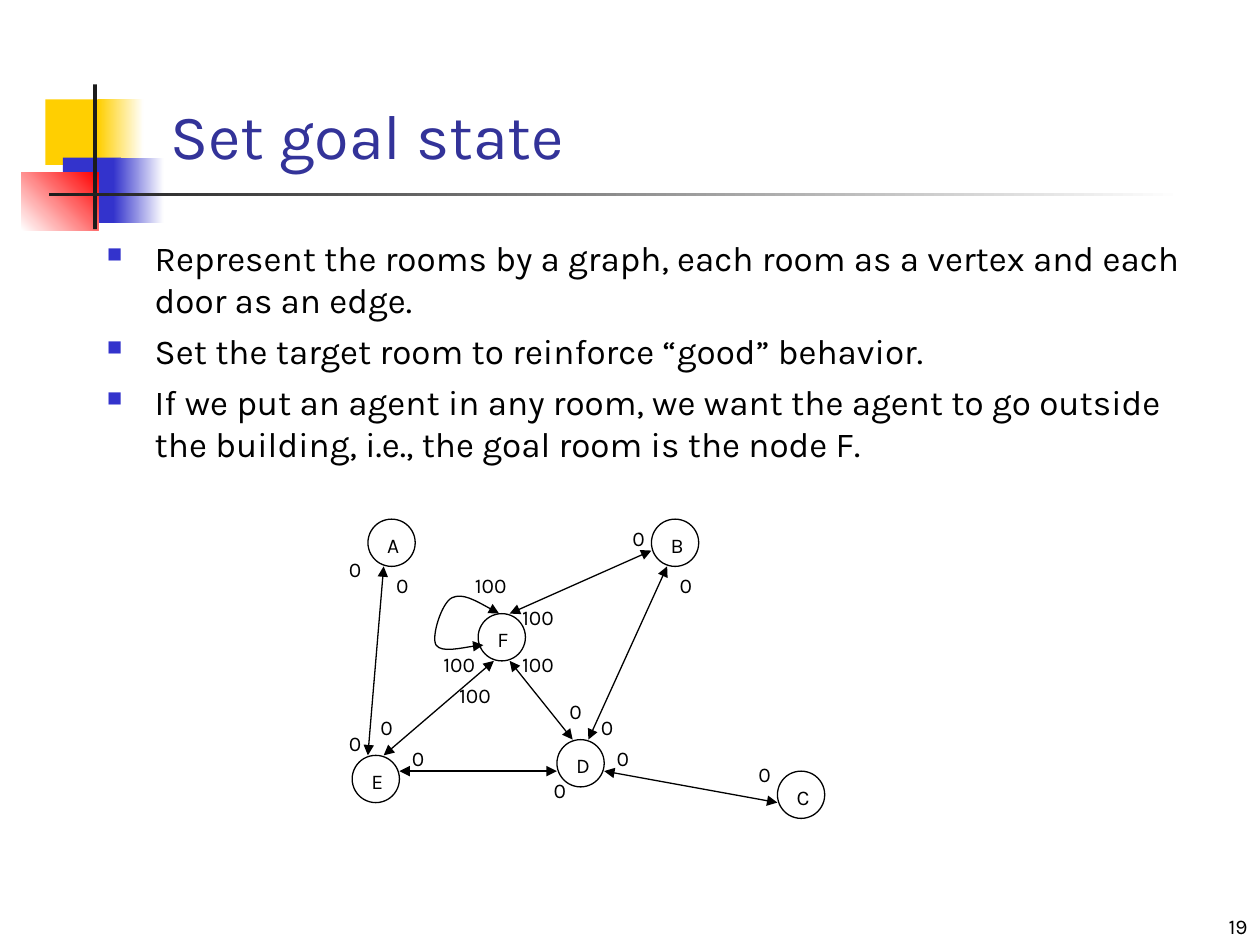
from dataclasses import dataclass
from typing import NamedTuple

from lxml import etree
from pptx import Presentation
from pptx.dml.color import RGBColor
from pptx.enum.shapes import MSO_CONNECTOR, MSO_SHAPE
from pptx.enum.text import MSO_ANCHOR, MSO_AUTO_SIZE, PP_ALIGN
from pptx.oxml.ns import qn
from pptx.util import Inches, Pt

RECT, OVAL = MSO_SHAPE.RECTANGLE, MSO_SHAPE.OVAL
LINE = MSO_CONNECTOR.STRAIGHT
TOP, BOTTOM = MSO_ANCHOR.TOP, MSO_ANCHOR.BOTTOM
LEFT, RIGHT = PP_ALIGN.LEFT, PP_ALIGN.RIGHT
WIDE, HIGH = Inches(10), Inches(7.5)


@dataclass(frozen=True)
class Theme:
    font: str = "Karla"
    ink: str = "000000"
    paper: str = "FFFFFF"
    head: str = "333399"
    blue: str = "3333CC"
    gold: str = "FFCF01"
    red: str = "FF0000"
    dark: str = "1C1C1C"
    title: int = 36
    body: int = 20
    small: int = 12
    stroke: float = 0.75


class Area(NamedTuple):
    """Left, top, width and height."""
    x: float
    y: float
    w: float
    h: float


class Block(NamedTuple):
    area: Area
    color: str
    end: str = ""
    angle: int = 0


class Label(NamedTuple):
    text: str
    spots: list
    cols: int
    rows: int


class Edge(NamedTuple):
    x1: float
    y1: float
    x2: float
    y2: float


T = Theme()

# Shares of the slide, in percent
TITLE = Area(12.5, 10, 85.2, 8.93)
BODY = Area(7.5, 24.4, 88.3, 70)
NUMBER = Area(79.2, 94.4, 20.8, 5.6)
BLOCKS = [
    Block(Area(3.6, 10.53, 4.8, 6.93), T.gold),
    Block(Area(7.8, 10.53, 3.6, 6.93), T.gold, T.paper),
    Block(Area(5, 16.67, 4.6, 6.93), T.blue),
    Block(Area(9, 16.67, 4, 6.93), T.blue, T.paper),
    Block(Area(1.7, 18.27, 6.1, 6.13), T.paper, T.red, 45),
    Block(Area(7.4, 8.93, 0.3, 15.33), T.dark),
    Block(Area(3.9, 20.4, 90, 0.4), T.dark, T.paper),
]

# Columns and rows of the graph's grid
UNIT, COL0, ROW0 = 0.125, 2.67, 4.12
NODE = 3
LABELS = [
    Label("0", [(3, 3), (0, 2), (0, 13), (2, 12), (4, 14), (13, 16), (14, 11),
                (16, 12), (17, 14), (26, 15), (21, 3), (18, 0)], 3, 3),
    Label("100", [(7, 10), (6, 8), (8, 3), (11, 5), (11, 8)], 4, 2),
]
NODES = {"A": (2, 0), "E": (1, 15), "B": (20, 0),
         "D": (14, 14), "F": (9, 6), "C": (28, 16)}
EDGES = [
    Edge(3, 3, 2, 15), Edge(3, 15, 10, 9), Edge(11, 9, 15, 14),
    Edge(11, 6, 20, 2), Edge(21, 3, 16, 14), Edge(4, 16, 14, 16),
    Edge(17, 16, 28, 18),
]
LOOP = [(10.33, 6), (9.12, 5.33), (8, 4.67), (7.33, 5), (6.67, 5.33),
        (6, 7.5), (6.33, 8), (6.67, 8.5), (8.83, 8), (9.33, 8)]

POINTS = [
    "Represent the rooms by a graph, each room as a vertex and each door as an edge.",
    "Set the target room to reinforce “good” behavior.",
    "If we put an agent in any room, we want the agent to go outside "
    "the building, i.e., the goal room is the node F.",
]


def share(area: Area) -> tuple:
    return tuple(int(part * side / 100)
                 for part, side in zip(area, (WIDE, HIGH, WIDE, HIGH)))


def spot(col: float, row: float) -> tuple:
    return Inches(COL0 + col * UNIT), Inches(ROW0 + row * UNIT)


def bullet(para) -> None:
    props = para._p.get_or_add_pPr()
    props.set("marL", str(Inches(0.38)))
    props.set("indent", str(-Inches(0.38)))
    tint = etree.SubElement(props, qn("a:buClr"))
    etree.SubElement(tint, qn("a:srgbClr"), val=T.blue)
    etree.SubElement(props, qn("a:buSzPct"), val="60000")
    etree.SubElement(props, qn("a:buChar"), char="■")


def write(shape, *lines: str, size: int = T.small, color: str = T.ink,
          align=LEFT, anchor=TOP, marks: bool = False, gap: int = 0) -> None:
    frame = shape.text_frame
    frame.auto_size = MSO_AUTO_SIZE.NONE
    frame.word_wrap = True
    frame.vertical_anchor = anchor
    for i, line in enumerate(lines):
        para = frame.add_paragraph() if i else frame.paragraphs[0]
        if marks:
            bullet(para)
        para.alignment = align
        if i:
            para.space_before = Pt(gap)
        run = para.add_run()
        run.text = line
        run.font.name, run.font.size = T.font, Pt(size)
        run.font.color.rgb = RGBColor.from_string(color)


def block(shapes, item: Block) -> None:
    shape = shapes.add_shape(RECT, *share(item.area))
    shape.shadow.inherit = False
    shape.line.fill.background()
    if item.end:
        shape.fill.gradient()
        shape.fill.gradient_angle = item.angle
        for stop, color in zip(shape.fill.gradient_stops, (item.color, item.end)):
            stop.color.rgb = RGBColor.from_string(color)
    else:
        shape.fill.solid()
        shape.fill.fore_color.rgb = RGBColor.from_string(item.color)


def ink(line) -> None:
    line.color.rgb = RGBColor.from_string(T.ink)
    line.width = Pt(T.stroke)


def cell(shapes, kind, text: str, area: Area) -> None:
    """Draw a label or node on the graph's grid."""
    shape = shapes.add_shape(kind, *spot(area.x, area.y),
                             Inches(area.w * UNIT), Inches(area.h * UNIT))
    shape.shadow.inherit = False
    shape.fill.solid()
    shape.fill.fore_color.rgb = RGBColor.from_string(T.paper)
    if kind == OVAL:
        ink(shape.line)
    else:
        shape.line.fill.background()
    write(shape, text)


def arrows(shape) -> None:
    ink(shape.line)
    stroke = shape.line._get_or_add_ln()
    for end in ("a:headEnd", "a:tailEnd"):
        etree.SubElement(stroke, qn(end), type="triangle")


def edge(shapes, item: Edge) -> None:
    link = shapes.add_connector(LINE, *spot(item.x1, item.y1), *spot(item.x2, item.y2))
    arrows(link)
    etree.SubElement(link._element.spPr, qn("a:effectLst"))


def curve(shapes, points: list) -> None:
    """Draw a start point and triples of points as a Bezier curve."""
    start, *rest = [spot(*point) for point in points]
    pen = shapes.build_freeform(*start)
    pen.add_line_segments(rest, close=False)
    shape = pen.convert_to_shape()
    shape.shadow.inherit = False
    shape.fill.background()
    arrows(shape)
    steps = list(shape._element.iter(qn("a:lnTo")))
    for i in range(0, len(steps), 3):
        bend = etree.Element(qn("a:cubicBezTo"))
        steps[i].addprevious(bend)
        for step in steps[i:i + 3]:
            bend.append(step[0])
            step.getparent().remove(step)


def main() -> None:
    deck = Presentation()
    deck.slide_width, deck.slide_height = WIDE, HIGH
    shapes = deck.slides.add_slide(deck.slide_layouts[5]).shapes
    for item in BLOCKS:
        block(shapes, item)
    title = shapes.title
    title.left, title.top, title.width, title.height = share(TITLE)
    write(title, "Set goal state", size=T.title, color=T.head, anchor=BOTTOM)
    write(shapes.add_textbox(*share(NUMBER)), "19", align=RIGHT, anchor=BOTTOM)
    write(shapes.add_textbox(*share(BODY)), *POINTS, size=T.body, marks=True, gap=5)
    for label in LABELS:
        for col, row in label.spots:
            cell(shapes, RECT, label.text, Area(col, row, label.cols, label.rows))
    for name, (col, row) in NODES.items():
        cell(shapes, OVAL, name, Area(col, row, NODE, NODE))
    for item in EDGES:
        edge(shapes, item)
    curve(shapes, LOOP)
    deck.save("out.pptx")


if __name__ == "__main__":
    main()
